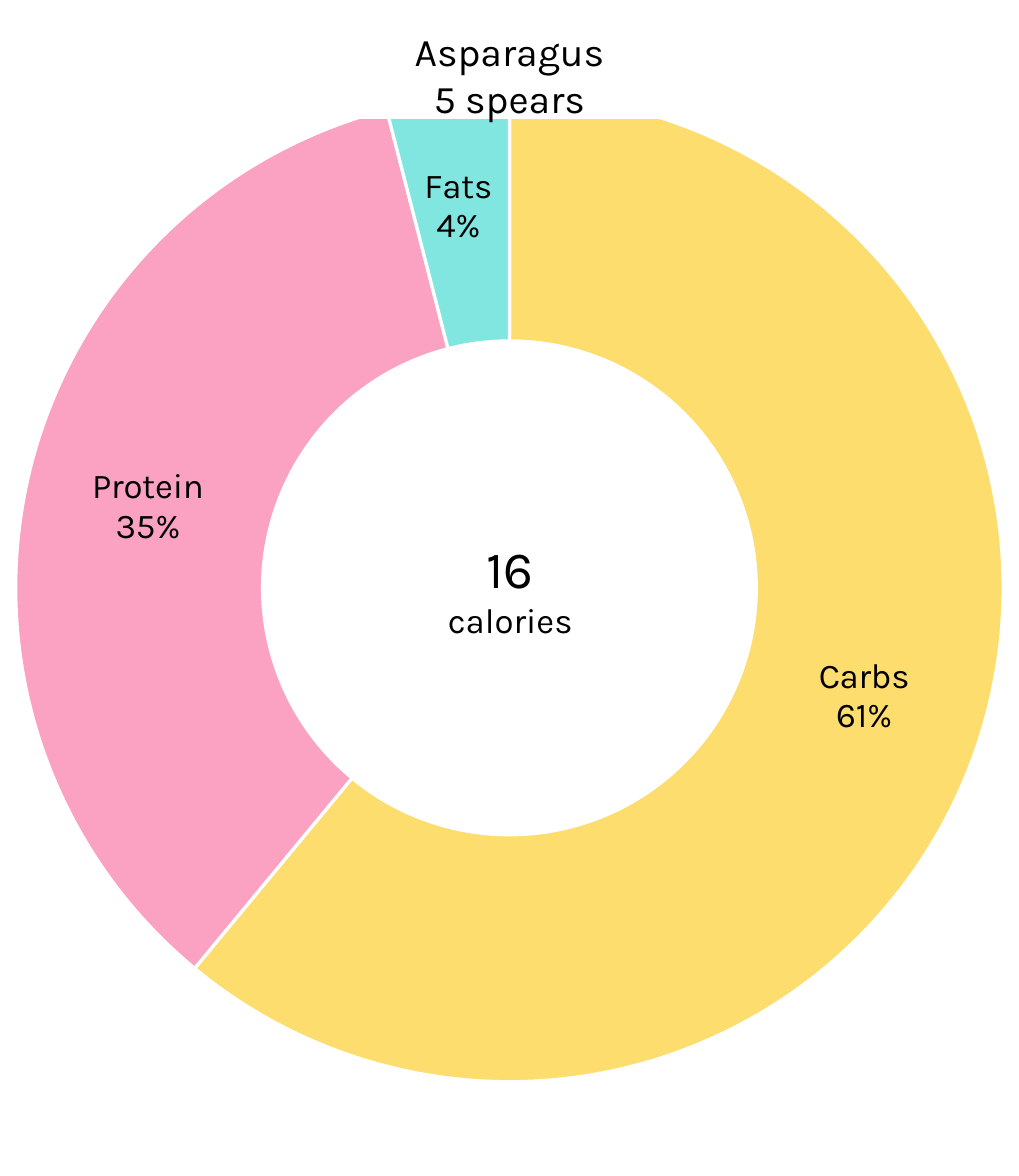
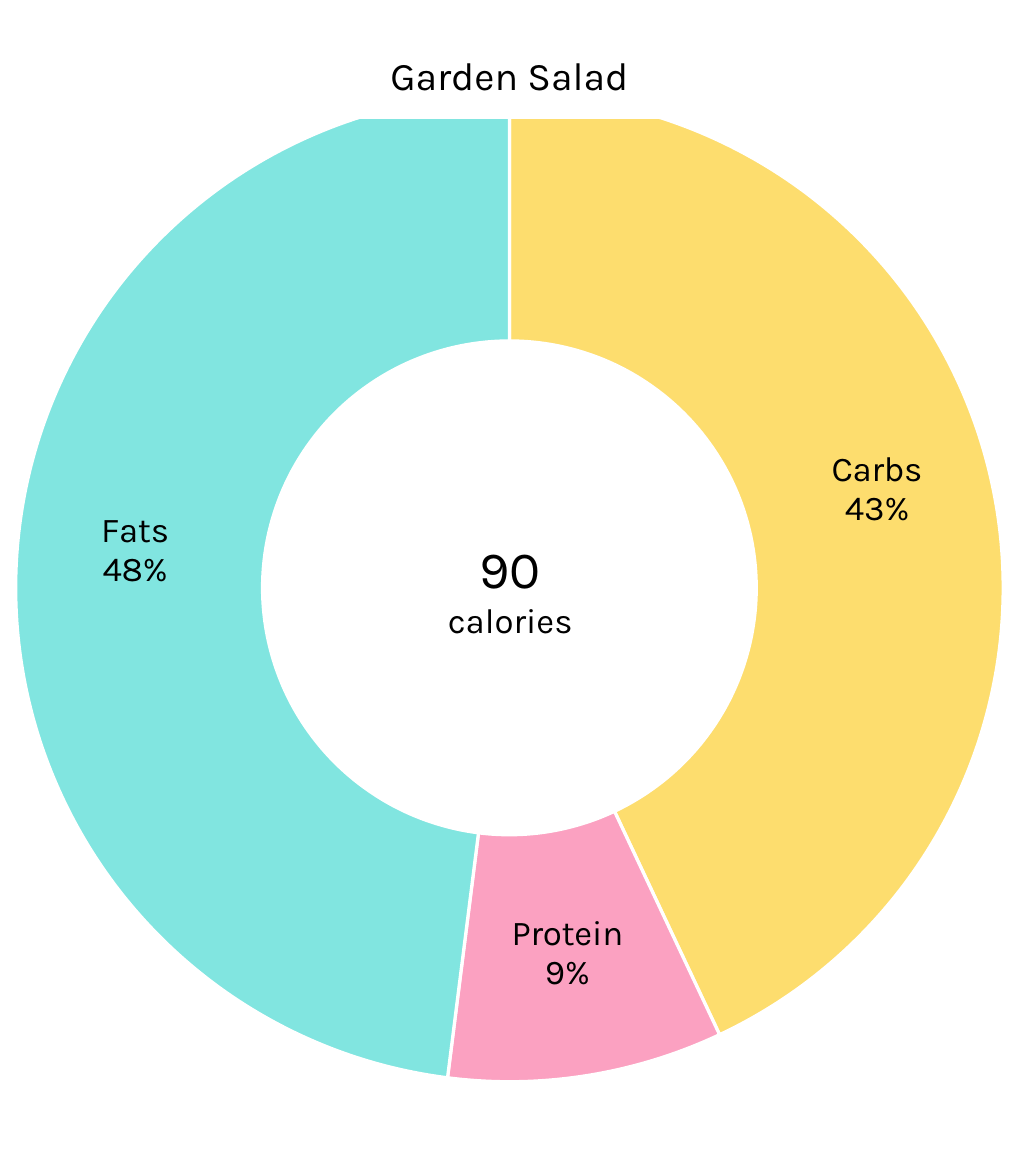
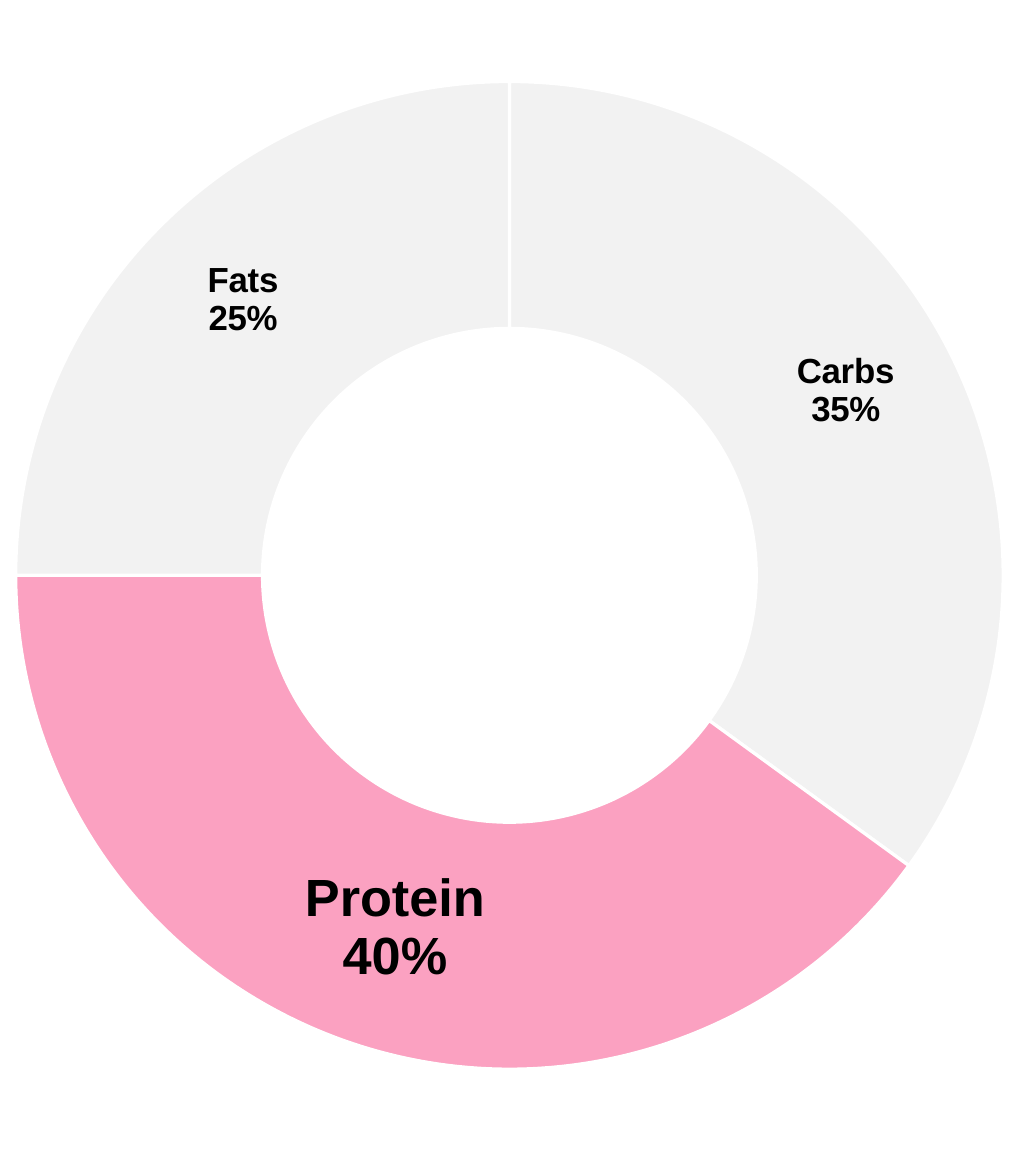
from dataclasses import dataclass

from lxml import etree
from pptx import Presentation
from pptx.chart.data import CategoryChartData
from pptx.dml.color import RGBColor
from pptx.enum.chart import XL_CHART_TYPE
from pptx.enum.text import MSO_ANCHOR, MSO_AUTO_SIZE, PP_ALIGN
from pptx.oxml.ns import qn
from pptx.util import Inches, Pt

DOUGHNUT = XL_CHART_TYPE.DOUGHNUT
CENTER = PP_ALIGN.CENTER
MIDDLE = MSO_ANCHOR.MIDDLE
FIXED_SIZE = MSO_AUTO_SIZE.NONE
TITLE_ONLY, BLANK = 5, 6


@dataclass(frozen=True)
class Theme:
    ink: str = "000000"
    paper: str = "FFFFFF"
    carbs: str = "FDDD6E"
    protein: str = "FBA1C1"
    fats: str = "81E5E0"
    muted: str = "F2F2F2"
    font: str = "Karla"
    plain_font: str = "Arial"
    title_size: int = 18
    large_size: int = 24
    label_size: int = 16


THEME = Theme()

# Content
CATEGORIES = ("Carbs", "Protein", "Fats")
FULL_COLORS = (THEME.carbs, THEME.protein, THEME.fats)
LABEL_SIZES = (THEME.label_size,) * 3
FOODS = [
    {"title": ("Asparagus", "5 spears"), "calories": "16", "shares": (0.61, 0.35, 0.04)},
    {"title": ("Garden Salad",), "calories": "90", "shares": (0.43, 0.09, 0.48)},
]
PROTEIN_FOCUS = {
    "shares": (0.35, 0.4, 0.25),
    "colors": (THEME.muted, THEME.protein, THEME.muted),
    "sizes": (THEME.label_size, THEME.large_size, THEME.label_size),
}

# Geometry in inches
SLIDE_WIDTH, SLIDE_HEIGHT = 6.5, 7.5
CHART_WIDTH, CHART_HEIGHT = 6.58, 7.5
CHART_LEFT = (SLIDE_WIDTH - CHART_WIDTH) / 2
RING_DIAMETER = 6.3
RING_MIDDLE, FOCUS_RING_MIDDLE = 3.75, 3.67
LABEL_SHIFTS = {"Carbs": (0.04, -0.11), "Fats": (-0.03, -0.09)}
TITLE_BOX = (1.5, 0.2, 3.5, 0.55)
CALORIES_BOX = (2.69, 3.37, 1.13, 0.77)


def color(value):
    return RGBColor.from_string(value)


def format_font(font, name, size, bold=False):
    font.name = name
    font.size = Pt(size)
    font.bold = bold
    font.color.rgb = color(THEME.ink)


def write_lines(text_frame, lines, font_name, bold=False):
    """Write centred paragraphs from (text, size) pairs."""
    for index, (text, size) in enumerate(lines):
        paragraph = text_frame.add_paragraph() if index else text_frame.paragraphs[0]
        paragraph.alignment = CENTER
        run = paragraph.add_run()
        run.text = text
        format_font(run.font, font_name, size, bold)


def set_layout(parent, position, settings):
    """Give a chart part a manual layout."""
    for layout in parent.findall(qn("c:layout")):
        parent.remove(layout)
    layout = etree.Element(qn("c:layout"))
    manual = etree.SubElement(layout, qn("c:manualLayout"))
    for name, value in settings.items():
        etree.SubElement(manual, qn(f"c:{name}")).set("val", str(value))
    parent.insert(position, layout)


def place_ring(chart, middle):
    """Fix the plot area as a square around the ring."""
    set_layout(chart._chartSpace.chart.plotArea, 0, {
        "layoutTarget": "inner",
        "xMode": "edge",
        "yMode": "edge",
        "x": (CHART_WIDTH - RING_DIAMETER) / 2 / CHART_WIDTH,
        "y": (middle - RING_DIAMETER / 2) / CHART_HEIGHT,
        "w": RING_DIAMETER / CHART_WIDTH,
        "h": RING_DIAMETER / CHART_HEIGHT,
    })


def shift_label(data_label, shift):
    """Move a label away from the middle of its segment."""
    across, down = shift
    offsets = {"x": across / CHART_WIDTH, "y": down / CHART_HEIGHT}
    set_layout(data_label._get_or_add_dLbl(), 1, offsets)


def add_ring(slide, shares, colors, sizes, font_name, middle, bold=False):
    chart_data = CategoryChartData(number_format="0%")
    chart_data.categories = CATEGORIES
    chart_data.add_series("Series 1", shares)
    box = (CHART_LEFT, 0, CHART_WIDTH, CHART_HEIGHT)
    chart = slide.shapes.add_chart(DOUGHNUT, *map(Inches, box), chart_data).chart
    chart.has_title = False
    chart.has_legend = False
    format_font(chart.font, font_name, THEME.label_size, bold)
    place_ring(chart, middle)

    plot = chart.plots[0]
    plot.vary_by_categories = True
    series = plot.series[0]
    labels = series.data_labels
    labels.show_value = True
    labels.show_category_name = True
    labels.number_format = "0%"
    labels.number_format_is_linked = False
    format_font(labels.font, font_name, THEME.label_size, bold)

    for index, (category, share) in enumerate(zip(CATEGORIES, shares)):
        point = series.points[index]
        point.format.fill.solid()
        point.format.fill.fore_color.rgb = color(colors[index])
        point.format.line.color.rgb = color(THEME.paper)
        point.format.line.width = Pt(1.5)
        text_frame = point.data_label.text_frame
        text_frame.word_wrap = False
        lines = [(category, sizes[index]), (f"{share:.0%}", sizes[index])]
        write_lines(text_frame, lines, font_name, bold)
        if category in LABEL_SHIFTS:
            shift_label(point.data_label, LABEL_SHIFTS[category])


def add_calories(slide, calories):
    text_box = slide.shapes.add_textbox(*map(Inches, CALORIES_BOX))
    text_box.text_frame.word_wrap = False
    lines = [(calories, THEME.large_size), ("calories", THEME.label_size)]
    write_lines(text_box.text_frame, lines, THEME.font)


def set_title(slide, lines):
    title = slide.shapes.title
    title.left, title.top, title.width, title.height = map(Inches, TITLE_BOX)
    title.fill.solid()
    title.fill.fore_color.rgb = color(THEME.paper)
    title.line.color.rgb = color(THEME.paper)
    title.line.width = Pt(1)
    title.text_frame.auto_size = FIXED_SIZE
    title.text_frame.vertical_anchor = MIDDLE
    write_lines(title.text_frame, [(line, THEME.title_size) for line in lines], THEME.font)
    # The title band covers the top of the ring
    slide.shapes._spTree.append(title._element)


def main():
    presentation = Presentation()
    presentation.slide_width = Inches(SLIDE_WIDTH)
    presentation.slide_height = Inches(SLIDE_HEIGHT)

    # Food slides
    for food in FOODS:
        slide = presentation.slides.add_slide(presentation.slide_layouts[TITLE_ONLY])
        add_ring(slide, food["shares"], FULL_COLORS, LABEL_SIZES, THEME.font, RING_MIDDLE)
        add_calories(slide, food["calories"])
        set_title(slide, food["title"])

    # Protein slide
    slide = presentation.slides.add_slide(presentation.slide_layouts[BLANK])
    add_ring(slide, **PROTEIN_FOCUS, font_name=THEME.plain_font,
             middle=FOCUS_RING_MIDDLE, bold=True)

    presentation.save("out.pptx")


if __name__ == "__main__":
    main()
